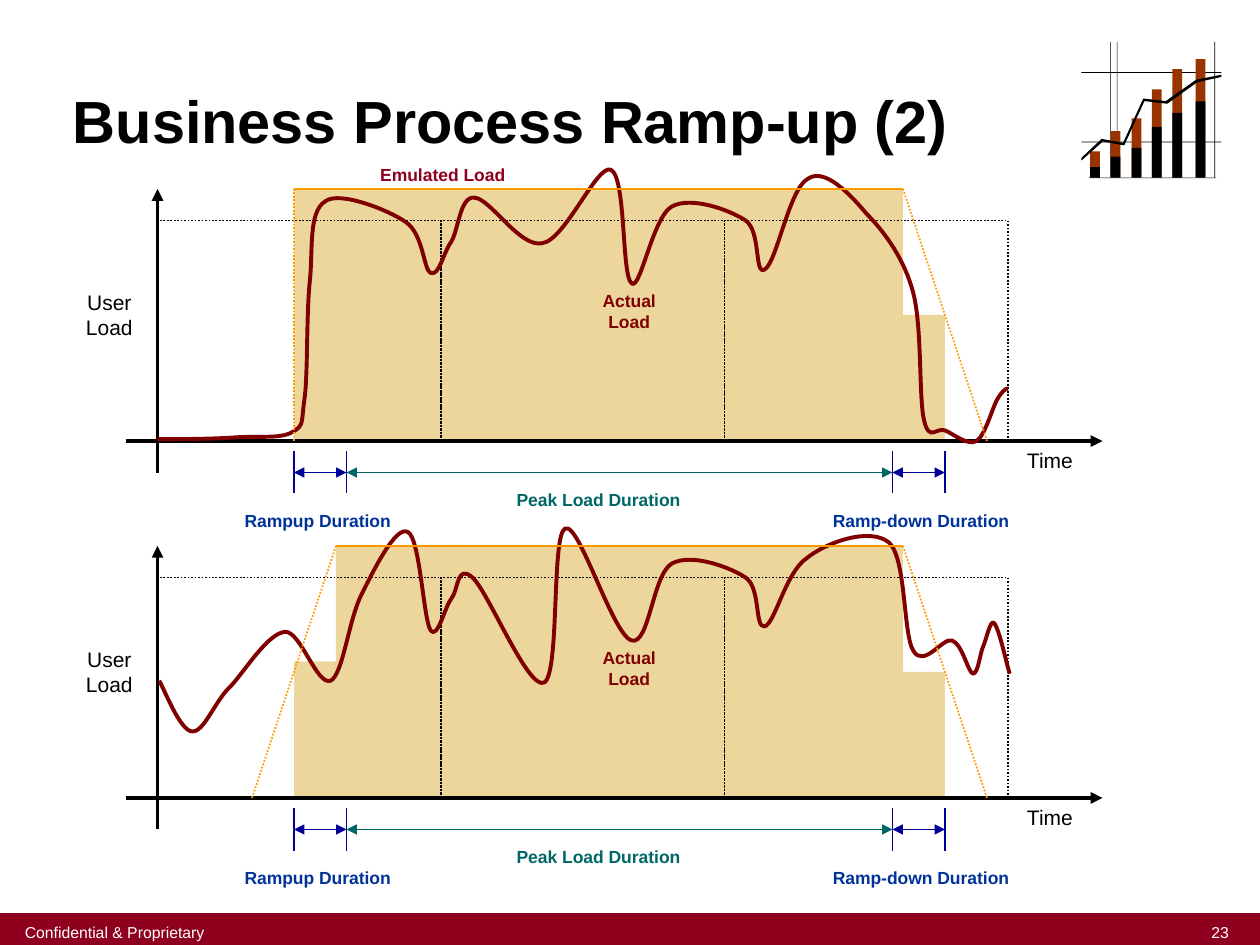
from dataclasses import dataclass

from lxml import etree
from pptx import Presentation
from pptx.dml.color import RGBColor
from pptx.enum.dml import MSO_LINE
from pptx.enum.shapes import MSO_CONNECTOR, MSO_SHAPE
from pptx.enum.text import MSO_ANCHOR, MSO_AUTO_SIZE, PP_ALIGN
from pptx.oxml.ns import qn
from pptx.util import Pt

RECT = MSO_SHAPE.RECTANGLE
STRAIGHT = MSO_CONNECTOR.STRAIGHT
DOT = MSO_LINE.ROUND_DOT
LEFT, CENTER = PP_ALIGN.LEFT, PP_ALIGN.CENTER
TOP, MIDDLE, BOTTOM = MSO_ANCHOR.TOP, MSO_ANCHOR.MIDDLE, MSO_ANCHOR.BOTTOM
FIT, FIXED = MSO_AUTO_SIZE.SHAPE_TO_FIT_TEXT, MSO_AUTO_SIZE.NONE


@dataclass(frozen=True)
class Theme:
    font: str = "Arial"
    black: str = "000000"
    white: str = "FFFFFF"
    wine: str = "8E001D"
    maroon: str = "800000"
    rust: str = "993300"
    sand: str = "DCAE3A"
    orange: str = "FF9900"
    navy: str = "000099"
    blue: str = "003399"
    teal: str = "006666"
    title: int = 34
    axis: int = 12
    label: int = 10
    foot: int = 9
    thin: float = 1
    thick: float = 2.25


T = Theme()

FLAT_START = [
    (18, 143), (25, 143), (49, 143), (62, 142), (75, 141), (88, 143), (95, 139),
    (102, 135), (100, 134), (102, 120), (104, 106), (103, 73), (105, 53),
    (107, 35), (104, 13), (114, 7), (122, 1), (150, 12), (160, 19),
    (170, 26), (170, 46), (174, 48), (179, 50), (181, 37), (186, 30),
    (190, 23), (191, 4), (199, 5), (208, 5), (225, 34), (238, 31),
    (251, 29), (269, -14), (277, -11), (286, -7), (283, 50), (289, 54),
    (294, 58), (301, 16), (312, 10), (323, 4), (345, 12), (354, 18),
    (363, 24), (359, 50), (365, 46), (372, 42), (379, -1), (390, -6),
    (399, -12), (413, 2), (423, 14), (433, 24), (445, 40), (450, 60),
    (455, 80), (453, 119), (456, 132), (459, 145), (463, 136), (468, 138),
    (473, 140), (481, 147), (486, 144), (491, 141), (495, 125), (498, 120),
    (501, 115), (503, 114), (504, 114)]
BUSY_START = [
    (19, 77), (22, 82), (31, 106), (38, 106), (45, 106), (51, 88), (60, 80),
    (69, 70), (81, 50), (91, 49), (100, 49), (109, 80), (117, 77),
    (124, 73), (127, 44), (134, 29), (141, 15), (154, -12), (161, -8),
    (168, -5), (170, 42), (174, 48), (178, 54), (182, 35), (186, 30),
    (190, 25), (189, 10), (198, 18), (207, 26), (230, 83), (239, 78),
    (248, 73), (243, -7), (251, -10), (259, -14), (278, 51), (289, 54),
    (299, 57), (301, 16), (312, 10), (323, 4), (345, 12), (354, 18),
    (363, 24), (359, 47), (365, 46), (371, 44), (377, 15), (389, 7),
    (400, -2), (425, -11), (436, -2), (446, 7), (444, 51), (450, 60),
    (456, 70), (467, 52), (472, 54), (478, 56), (481, 72), (484, 73),
    (487, 73), (488, 61), (490, 57), (492, 52), (494, 42), (496, 44),
    (499, 47), (503, 67), (505, 73)]
TREND = [
    (80, 20), (80, 18.7), (65.5, 21.6), (48.2, 33.8), (36, 32.4), (35.3, 32.4),
    (23.8, 57.6), (11.5, 55.4), (0, 66.2), (0, 67.7), (12.2, 56.9), (23.8, 59),
    (24.5, 59), (36, 33.8), (49, 35.3), (66.2, 23)]


def color(code):
    return RGBColor.from_string(code)


def paint(shape, fill=None, line=None, width=T.thin, dash=None, alpha=None):
    shape.shadow.inherit = False
    if fill:
        shape.fill.solid()
        shape.fill.fore_color.rgb = color(fill)
        if alpha:
            tint = shape.fill._xPr.find(qn("a:solidFill"))[0]
            etree.SubElement(tint, qn("a:alpha"), val=str(alpha * 1000))
    else:
        shape.fill.background()
    if line:
        shape.line.color.rgb = color(line)
        shape.line.width = Pt(width)
        if dash:
            shape.line.dash_style = dash
    else:
        shape.line.fill.background()


def rect(shapes, x, y, w, h, **style):
    paint(shapes.add_shape(RECT, Pt(x), Pt(y), Pt(w), Pt(h)), **style)


def rule(shapes, x1, y1, x2, y2, tone, width=T.thin, dash=None, ends=()):
    link = shapes.add_connector(STRAIGHT, Pt(x1), Pt(y1), Pt(x2), Pt(y2))
    link.line.color.rgb = color(tone)
    link.line.width = Pt(width)
    if dash:
        link.line.dash_style = dash
    for end in ends:
        etree.SubElement(link.line._ln, qn(f"a:{end}"), type="triangle")
    etree.SubElement(link._element.spPr, qn("a:effectLst"))


def trace(shapes, x, y, points, close=False):
    spots = [(Pt(x + px), Pt(y + py)) for px, py in points]
    pen = shapes.build_freeform(*spots[0])
    pen.add_line_segments(spots[1:], close=close)
    return pen.convert_to_shape()


def curve(shapes, x, y, points):
    shape = trace(shapes, x, y, points)
    steps = iter(list(shape._element.iter(qn("a:lnTo"))))
    for one, two, three in zip(steps, steps, steps):
        one.tag = qn("a:cubicBezTo")
        for step in (two, three):
            one.append(step[0])
            step.getparent().remove(step)
    paint(shape, line=T.maroon, width=T.thick)


def write(frame, text, size, tone=T.black, bold=False, align=CENTER,
          anchor=TOP, wrap=False, fit=FIT, space=None):
    frame.text = text
    frame.word_wrap = wrap
    frame.auto_size = fit
    frame.vertical_anchor = anchor
    for para in frame.paragraphs:
        para.alignment = align
        if space:
            para.line_spacing = space
        font = para.font
        font.name, font.size, font.bold = T.font, Pt(size), bold
        font.color.rgb = color(tone)


def label(shapes, x, y, w, h, text, size, **style):
    box = shapes.add_textbox(Pt(x), Pt(y), Pt(w), Pt(h))
    write(box.text_frame, text, size, **style)


def footer(shapes, x, y, w, h):
    rect(shapes, x, y, w, h, fill=T.wine, line=T.wine)
    label(shapes, x + 680, y + 2, 34.5, 18, "23", T.foot, tone=T.white, wrap=True)
    label(shapes, x + 7, y + 1.5, 117, 18, "Confidential & Proprietary", T.foot,
          tone=T.white, anchor=MIDDLE)


def heading(shape, x, y, w, h):
    shape.left, shape.top, shape.width, shape.height = Pt(x), Pt(y), Pt(w), Pt(h)
    write(shape.text_frame, "Business Process Ramp-up (2)", T.title, bold=True,
          align=LEFT, anchor=BOTTOM, wrap=True, fit=FIXED, space=0.9)


def icon(shapes, x, y, w, h):
    group = shapes.add_group_shape().shapes
    for row in (17.3, 57):
        rect(group, x, y + row, w, 0.4, fill=T.black)
    for col in (16.5, 20.2, 76):
        rect(group, x + col, y, 0.4, h, fill=T.black)
    bars = [(5, 15, 6), (16.7, 26.6, 12), (28.7, 33.8, 17),
            (40.2, 50.4, 29), (52, 62, 37), (65.3, 67.7, 43.5)]
    for left, full, part in bars:
        for high, tone in ((full, T.rust), (part, T.black)):
            rect(group, x + left, y + h - high, 5.6, high, fill=tone)
    rect(group, x + 4.3, y + h, 72.7, 0.4, fill=T.black)
    paint(trace(group, x, y, TREND, close=True), fill=T.black)


def panel(shapes, x, y, w, h, load, first, rise):
    slices = [(96, 24, first), (120, 24, h), (144, 24, h), (168, 24, h),
              (192, 252, h), (444, 24, h / 2)]
    for left, wide, high in slices:
        rect(shapes, x + left, y + h - high, wide, high, fill=T.sand, alpha=50)

    rule(shapes, x, y + h, x + w, y + h, T.black, T.thick, ends=["tailEnd"])
    rule(shapes, x + 18, y + h + 18, x + 18, y, T.black, T.thick, ends=["tailEnd"])
    for col in range(3):
        rect(shapes, x + 18 + 162 * col, y + 18, 162, h - 18, line=T.black, dash=DOT)
    curve(shapes, x, y, load)

    marks = [96, 126, 438, 468]
    for start, stop, tone in zip(marks, marks[1:], (T.navy, T.teal, T.navy)):
        rule(shapes, x + start, y + h + 18, x + stop, y + h + 18, tone,
             ends=["headEnd", "tailEnd"])
    for mark in marks:
        rule(shapes, x + mark, y + h + 6, x + mark, y + h + 30, T.navy)

    peak, foot = rise
    rule(shapes, x + peak, y, x + foot, y + h, T.orange, dash=DOT)
    rule(shapes, x + peak, y, x + 444, y, T.orange)
    rule(shapes, x + 444, y, x + 492, y + h, T.orange, dash=DOT)

    label(shapes, x - 30, y + 54, 41, 36, "User\nLoad", T.axis)
    label(shapes, x + 507.5, y + h, 41, 21.6, "Time", T.axis)
    names = [(60.5, h + 36, 98, "Rampup Duration", T.blue),
             (216, h + 24, 108, "Peak Load Duration", T.teal),
             (396.7, h + 36, 115, "Ramp-down Duration", T.blue),
             (252, 54, 71, "Actual Load", T.maroon)]
    for left, top, wide, text, tone in names:
        label(shapes, x + left, y + top, wide, 18.7, text, T.label, tone=tone, bold=True)


def main():
    deck = Presentation()
    deck.slide_width, deck.slide_height = Pt(720), Pt(540)
    slide = deck.slides.add_slide(deck.slide_layouts[5])
    shapes = slide.shapes
    heading(shapes.title, 34.5, 18, 675, 75)
    footer(shapes, 0, 522, 720, 18)
    icon(shapes, 618, 24, 80, 77.5)
    panel(shapes, 72, 108, 558, 144, FLAT_START, 144, (96, 96))
    label(shapes, 210, 90, 86, 18.7, "Emulated Load", T.label, tone=T.wine, bold=True)
    panel(shapes, 72, 312, 558, 144, BUSY_START, 78, (120, 72))
    deck.save("out.pptx")


if __name__ == "__main__":
    main()
